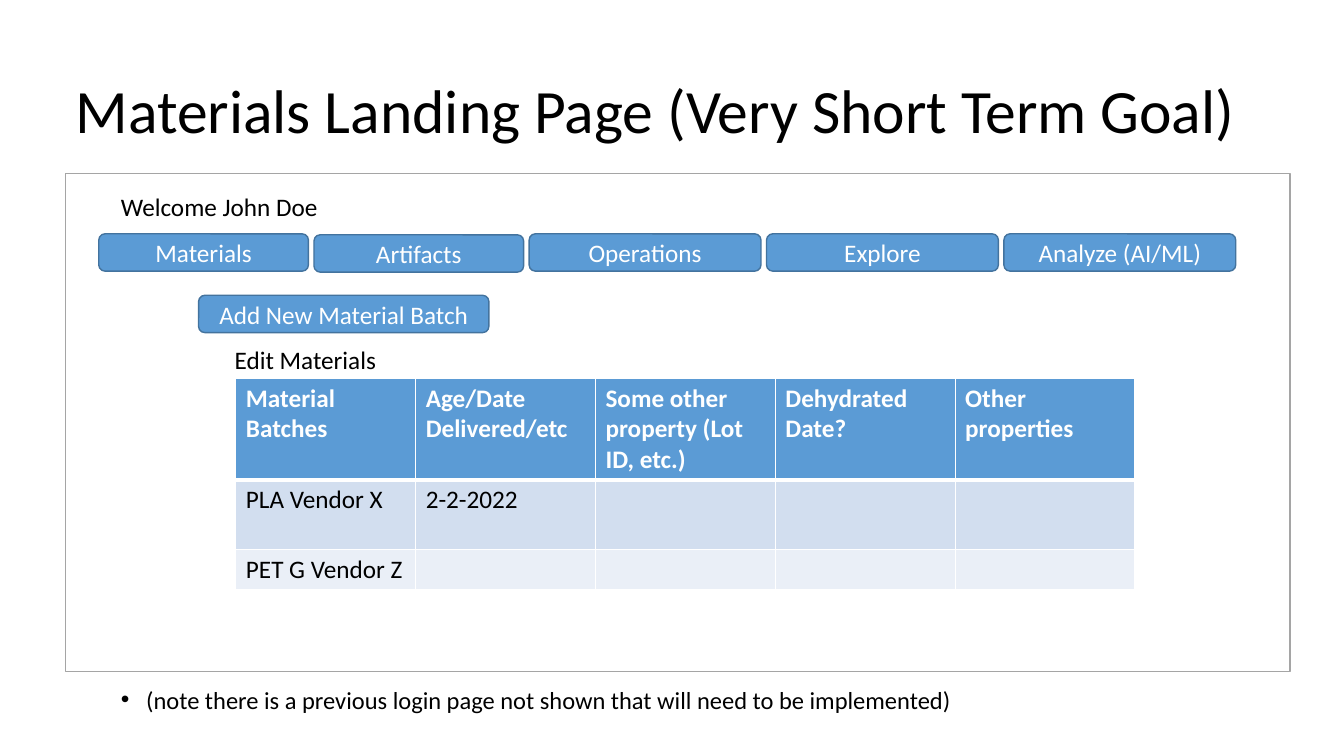
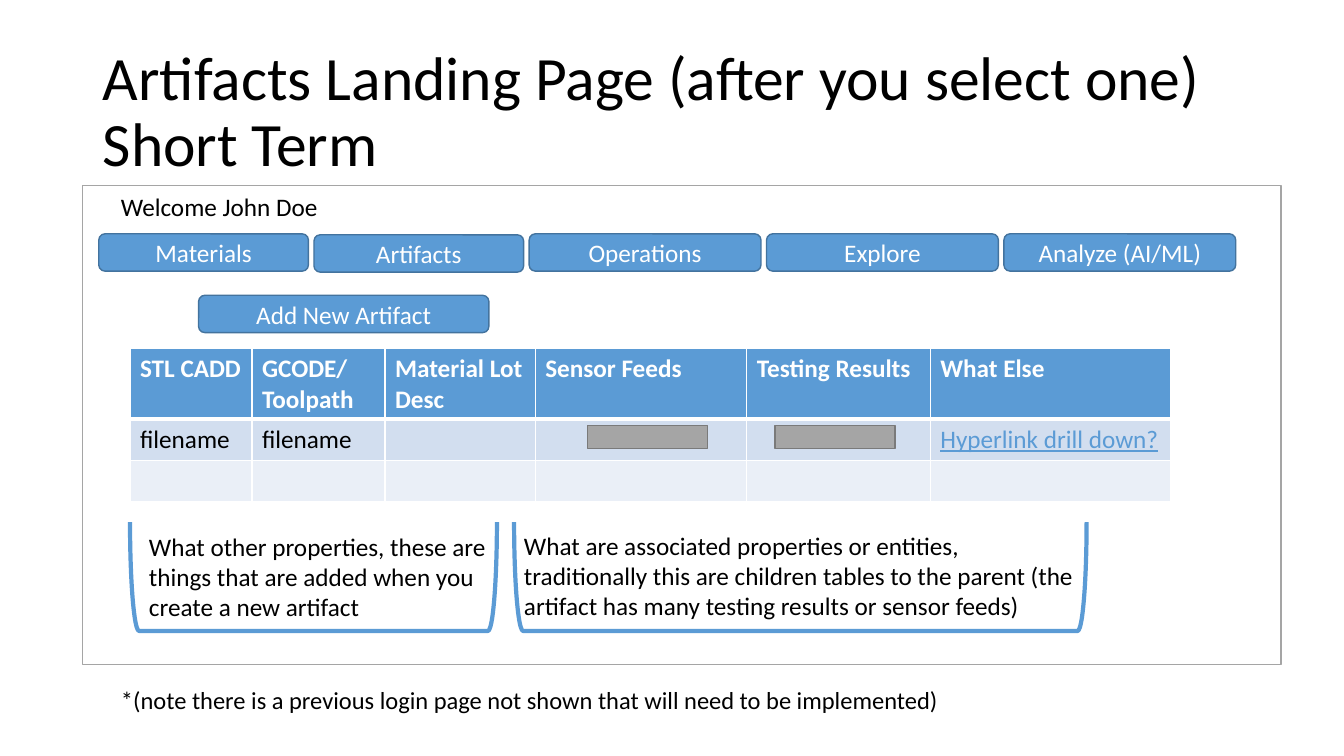
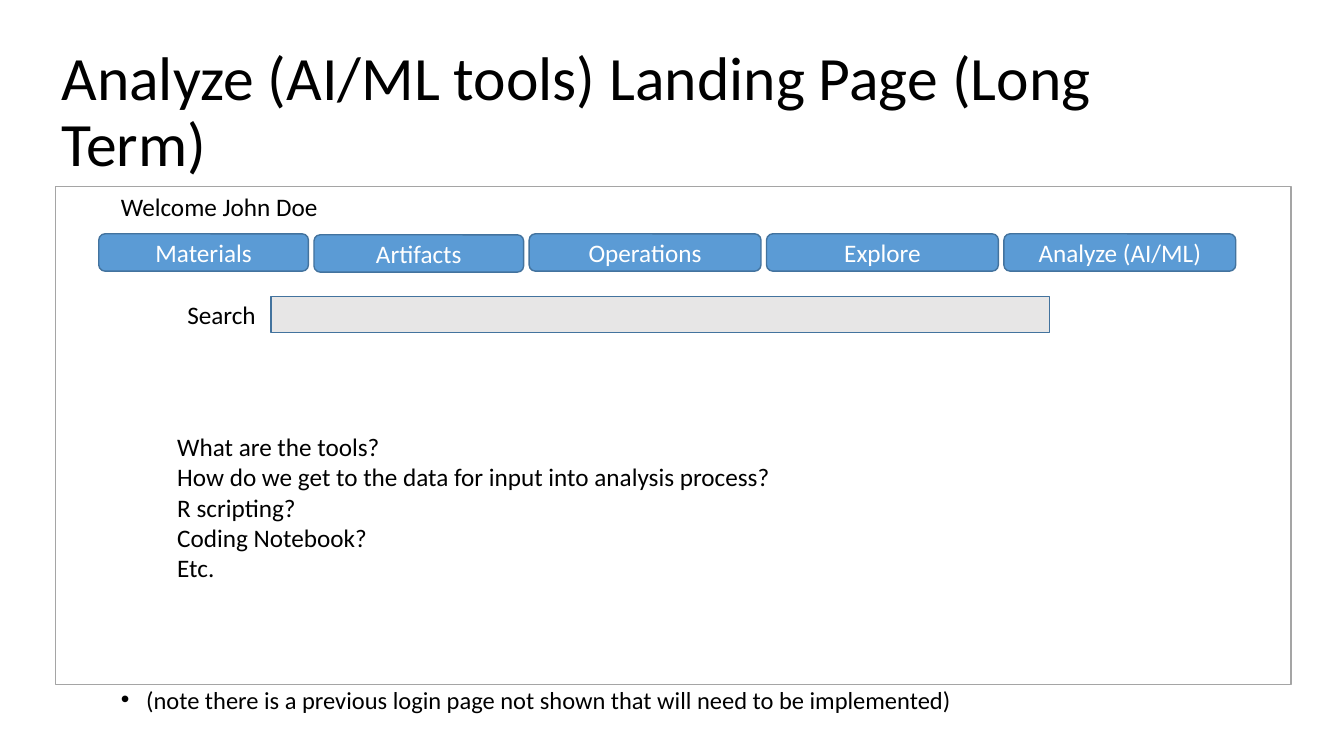
import lxml.etree
import pptx
import pptx.dml.color
import pptx.enum.shapes
import pptx.enum.text
import pptx.oxml.ns
import pptx.util

RGB = pptx.dml.color.RGBColor
SHAPE = pptx.enum.shapes.MSO_SHAPE
ALIGN = pptx.enum.text.PP_ALIGN
ANCHOR = pptx.enum.text.MSO_ANCHOR
FIT = pptx.enum.text.MSO_AUTO_SIZE

PX = 9144  # EMU in one px, 100 px to the inch
FONT = "Calibri"
BLACK = RGB(0x00, 0x00, 0x00)
WHITE = RGB(0xFF, 0xFF, 0xFF)
BLUE = RGB(0x5B, 0x9B, 0xD5)
DARK_BLUE = RGB(0x43, 0x73, 0x9E)
GREY = RGB(0xA5, 0xA5, 0xA5)
DARK_GREY = RGB(0x7A, 0x7A, 0x7A)
PALE_GREY = RGB(0xE7, 0xE6, 0xE6)
BANDS = (RGB(0xD2, 0xDE, 0xEF), RGB(0xEA, 0xEF, 0xF7))

# name: preset, fill, line colour, line width, rotation
STYLES = {
    "panel": (SHAPE.RECTANGLE, WHITE, GREY, 1, 0),
    "button": (SHAPE.ROUNDED_RECTANGLE, BLUE, DARK_BLUE, 1, 0),
    "chart stub": (SHAPE.RECTANGLE, GREY, DARK_GREY, 1, 0),
    "search field": (SHAPE.RECTANGLE, PALE_GREY, DARK_BLUE, 1, 0),
    "bracket": (SHAPE.RIGHT_BRACKET, None, BLUE, 3, 90),
}

# label, top, width
NAV = [
    ("Materials", 232, 208),
    ("Artifacts", 233, 208),
    ("Operations", 232, 230),
    ("Explore", 232, 230),
    ("Analyze (AI/ML)", 232, 230),
]
NAV_LEFT, NAV_RIGHT, BUTTON_HEIGHT = 98, 1226, 37

WELCOME = ("Welcome John Doe", (110, 185, 235, 40))
NOTE = "(note there is a previous login page not shown that will need to be implemented)"
NOTE_AT = (110, 683, 940, 45)
ADD_AT = (197, 293, 288, BUTTON_HEIGHT)
LINK = "Hyperlink drill down?"

PAGES = [
    {
        "title": ("Materials Landing Page (Very Short Term Goal)", (65, 40, 1176, 145)),
        "note": (NOTE, True),
        "panel": (65, 172, 1215, 494),
        "table": {
            "at": (234, 375),
            "columns": [178.4] * 5,
            "heights": [101, 69, 40],
            "rows": [
                ["Material Batches", "Age/Date Delivered/etc",
                 "Some other property (Lot ID, etc.)", "Dehydrated Date?", "Other properties"],
                ["PLA Vendor X", "2-2-2022", "", "", ""],
                ["PET G Vendor Z", "", "", "", ""],
            ],
        },
        "shapes": [("button", ADD_AT, "Add New Material Batch")],
        "texts": [("Edit Materials", (223, 337, 286, 40))],
    },
    {
        "title": ("Artifacts Landing Page (after you select one) Short Term", (92, 40, 1150, 145)),
        "note": ("*" + NOTE, False),
        "panel": (82, 184, 1189, 475),
        "table": {
            "at": (129, 346),
            "columns": [121, 132, 149, 210, 182, 238],
            "heights": [70, 41, 41],
            "rows": [
                ["STL CADD", "GCODE/Toolpath", "Material Lot Desc",
                 "Sensor Feeds", "Testing Results", "What Else"],
                ["filename", "filename", "", "", "", LINK],
                [""] * 6,
            ],
        },
        "shapes": [
            ("chart stub", (583, 422, 119, 23), ""),
            ("chart stub", (769, 422, 119, 23), ""),
            ("button", ADD_AT, "Add New Artifact"),
            ("bracket", (257, 390, 108, 364), ""),
            ("bracket", (740, 288, 108, 568), ""),
        ],
        "texts": [
            ("What other properties, these are things that are added when you "
             "create a new artifact", (138, 522, 374, 101)),
            ("What are associated properties or entities, traditionally this are children "
             "tables to the parent (the artifact has many testing results or sensor feeds)",
             (510, 521, 572, 101)),
        ],
    },
    {
        "title": ("Analyze (AI/ML tools) Landing Page (Long Term)", (51, 40, 1191, 145)),
        "note": (NOTE, True),
        "panel": (55, 185, 1226, 494),
        "shapes": [("search field", (269, 294, 772, 36), "")],
        "texts": [
            ("Search", (176, 292, 286, 40)),
            ("What are the tools?\nHow do we get to the data for input into analysis process?\n"
             "R scripting?\nCoding Notebook?\nEtc.", (166, 423, 845, 162)),
        ],
    },
]


def emu(lengths):
    return [round(length * PX) for length in lengths]


def apply(target, **values):
    for name, value in values.items():
        setattr(target, name, value)


def write(frame, text, size=18, color=BLACK, bold=False, underline=False, **para_format):
    """Fill a text frame, one paragraph for each line of the text."""
    frame.text = text
    for para in frame.paragraphs:
        apply(para, **para_format)
        for span in para.runs:
            apply(span.font, name=FONT, size=pptx.util.Pt(size), bold=bold, underline=underline)
            span.font.color.rgb = color


def place(box, at):
    apply(box, **dict(zip(("left", "top", "width", "height"), emu(at))))


def add_title(page, text, at):
    box = page.shapes.title
    place(box, at)
    apply(box.text_frame, word_wrap=True, auto_size=FIT.NONE, vertical_anchor=ANCHOR.MIDDLE)
    write(box.text_frame, text, 44, alignment=ALIGN.LEFT, line_spacing=0.9)


def add_note(page, text, bulleted):
    box = page.placeholders[1]
    place(box, NOTE_AT)
    apply(box.text_frame, word_wrap=True, auto_size=FIT.NONE)
    write(box.text_frame, text, 17.5, line_spacing=0.7, space_before=pptx.util.Pt(10))
    properties = box.text_frame.paragraphs[0]._p.get_or_add_pPr()
    indent = 25 * PX if bulleted else 0
    properties.set("marL", str(indent))
    properties.set("indent", str(-indent))
    tag = "a:buChar" if bulleted else "a:buNone"
    bullet = lxml.etree.SubElement(properties, pptx.oxml.ns.qn(tag))
    if bulleted:
        bullet.set("char", "•")


def add_text(page, text, at):
    frame = page.shapes.add_textbox(*emu(at)).text_frame
    apply(frame, word_wrap=True, auto_size=FIT.SHAPE_TO_FIT_TEXT)
    write(frame, text)


def add_styled_shape(page, style, at, text=""):
    preset, fill, line, width, rotation = STYLES[style]
    box = page.shapes.add_shape(preset, *emu(at))
    box.shadow.inherit = False
    apply(box, rotation=rotation)
    if fill is None:
        box.fill.background()
    else:
        box.fill.solid()
        box.fill.fore_color.rgb = fill
    box.line.color.rgb = line
    box.line.width = pptx.util.Pt(width)
    if text:
        apply(box.text_frame, word_wrap=True, vertical_anchor=ANCHOR.MIDDLE)
        write(box.text_frame, text, color=WHITE, alignment=ALIGN.CENTER)


def set_borders(cell, **widths):
    """Draw white cell borders; call before the fill, which must follow them."""
    properties = cell._tc.get_or_add_tcPr()
    for side, width in widths.items():
        line = lxml.etree.SubElement(properties, pptx.oxml.ns.qn("a:ln" + side))
        line.set("w", str(pptx.util.Pt(width)))
        fill = lxml.etree.SubElement(line, pptx.oxml.ns.qn("a:solidFill"))
        lxml.etree.SubElement(fill, pptx.oxml.ns.qn("a:srgbClr")).set("val", str(WHITE))


def add_batch_table(page, at, columns, heights, rows):
    size = (sum(columns), sum(heights))
    table = page.shapes.add_table(len(rows), len(columns), *emu(at + size)).table
    for column, width in zip(table.columns, emu(columns)):
        column.width = width
    for index, (row, height, texts) in enumerate(zip(table.rows, emu(heights), rows)):
        row.height = height
        header = index == 0
        for cell, text in zip(row.cells, texts):
            set_borders(cell, L=1, R=1, T=3 if index == 1 else 1, B=3 if header else 1)
            cell.fill.solid()
            cell.fill.fore_color.rgb = BLUE if header else BANDS[(index - 1) % 2]
            link = text == LINK
            color = WHITE if header else BLUE if link else BLACK
            write(cell.text_frame, text, color=color, bold=header, underline=link)


def add_navigation(page):
    gap = (NAV_RIGHT - NAV_LEFT - sum(width for _, _, width in NAV)) / (len(NAV) - 1)
    left = NAV_LEFT
    for label, top, width in NAV:
        add_styled_shape(page, "button", (left, top, width, BUTTON_HEIGHT), label)
        left += width + gap


def main():
    deck = pptx.Presentation()
    deck.slide_width, deck.slide_height = emu((1333.33, 750))
    for content in PAGES:
        page = deck.slides.add_slide(deck.slide_layouts[1])
        add_title(page, *content["title"])
        add_note(page, *content["note"])
        add_styled_shape(page, "panel", content["panel"])
        add_text(page, *WELCOME)
        if "table" in content:
            add_batch_table(page, **content["table"])
        for shape in content["shapes"]:
            add_styled_shape(page, *shape)
        for text in content["texts"]:
            add_text(page, *text)
        add_navigation(page)
    deck.save("out.pptx")


if __name__ == "__main__":
    main()
